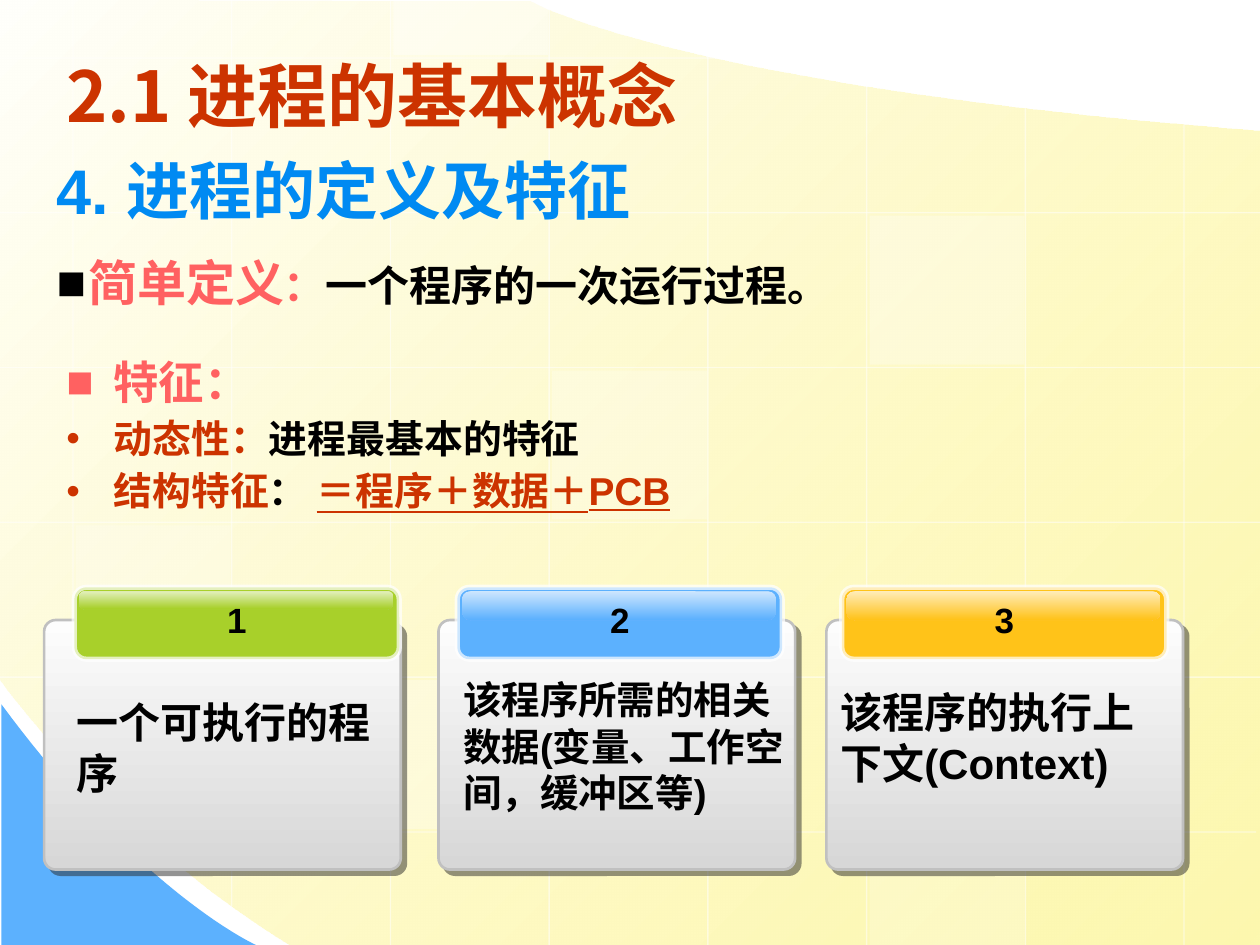
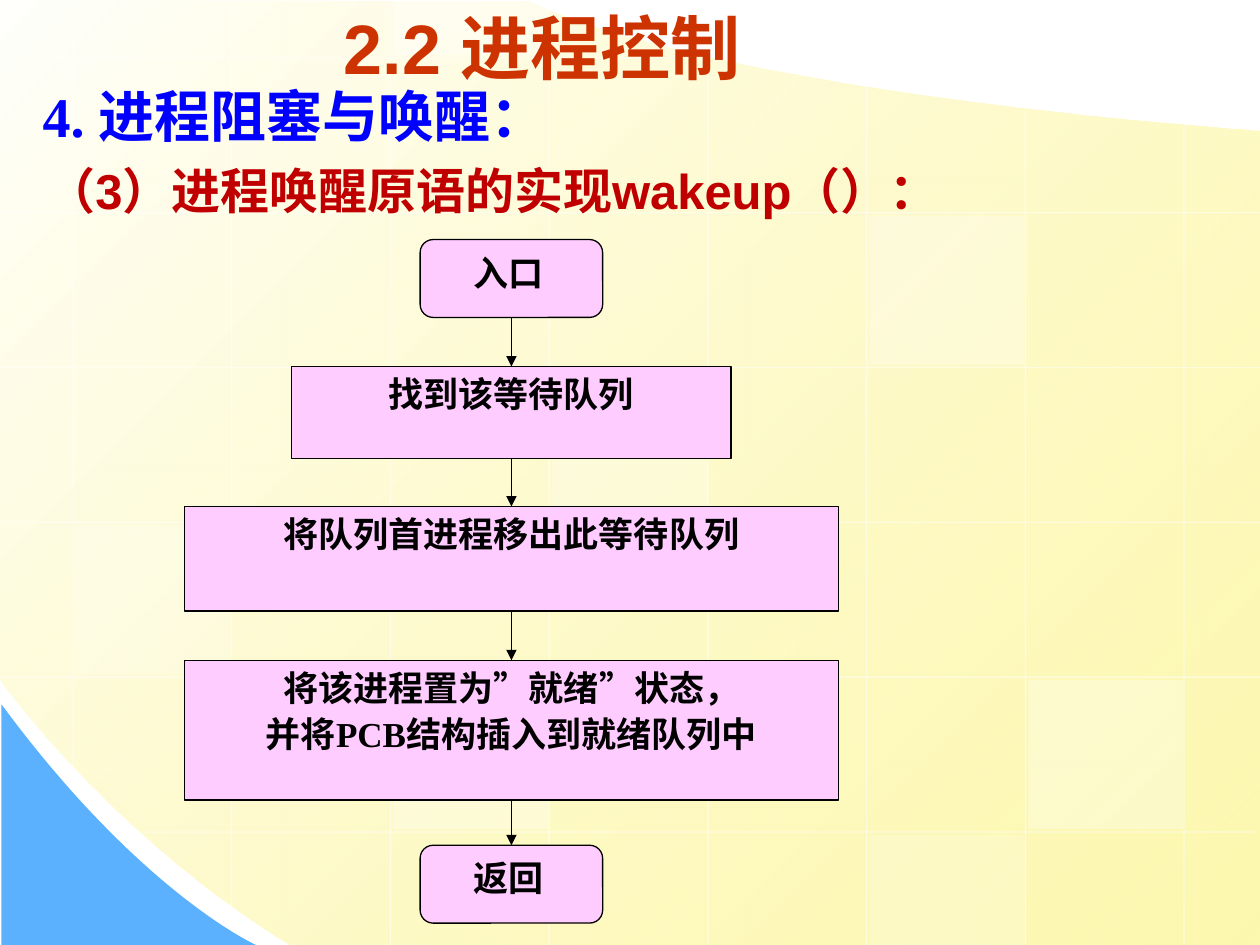
from lxml.etree import SubElement
from pptx import Presentation
from pptx.dml.color import RGBColor
from pptx.enum.shapes import MSO_CONNECTOR as Link, MSO_SHAPE as Preset
from pptx.enum.text import MSO_ANCHOR as Anchor, PP_ALIGN as Align
from pptx.oxml.ns import qn
from pptx.util import Cm, Pt

WHITE = RGBColor(0xFF, 0xFF, 0xFF)
BLACK = RGBColor(0, 0, 0)
IVORY = RGBColor(0xFF, 0xFF, 0xFB)
YELLOW = RGBColor(0xFD, 0xF5, 0x8D)
SKY = RGBColor(0x5C, 0xB1, 0xFE)
RUST = RGBColor(0xCC, 0x33, 0x00)
AZURE = RGBColor(0x00, 0x8A, 0xF2)
BLUE = RGBColor(0, 0, 0xFF)
CRIMSON = RGBColor(0xC0, 0, 0)
CORAL = RGBColor(0xFF, 0x61, 0x61)
GREEN = RGBColor(0xA8, 0xD0, 0x2A)
AMBER = RGBColor(0xFF, 0xC3, 0x19)
PINK = RGBColor(0xFF, 0xCC, 0xFF)
CARD_TOP = RGBColor(0xFD, 0xFD, 0xFD)
CARD_BOTTOM = RGBColor(0xD7, 0xD7, 0xD7)
CARD_EDGE = RGBColor(0xC0, 0xC0, 0xC0)
SHADE = RGBColor(0x29, 0x29, 0x29)

SANS, SERIF, HAN = "Arial", "Times New Roman", "Noto Sans CJK SC"
WIDTH, HEIGHT = 25.4, 19.05
GRID_X, GRID_Y, COLUMN, ROW = 1.47, 1.17, 3.2, 3.12
COLUMN_SPANS = [(0, 15.47), (0, 18.26), (0, HEIGHT), (0, HEIGHT),
                (1.09, HEIGHT), (1.73, HEIGHT), (2.16, HEIGHT), (2.49, HEIGHT)]
ROW_SPANS = [(0, 14.43)] + [(0, WIDTH)] * 4 + [(2.82, 25.32)]
TILES = [(3, 2, 25), (6, 4, 30), (0, 3, 20), (5, 5, 20),
         (2, -1, 40), (2, 4, 30), (5, 1, 30)]


def add_xml(parent, tag, **values):
    return SubElement(parent, qn(tag), {key: str(value) for key, value in values.items()})


def set_alpha(properties, percent, index=0):
    colour = list(properties.iter(qn("a:srgbClr")))[index]
    add_xml(colour, "a:alpha", val=percent * 1000)


def set_gradient(shape, start, end, angle):
    shape.fill.gradient()
    shape.fill.gradient_angle = 360 - angle
    for stop, colour, position in zip(shape.fill.gradient_stops, (start, end), (0, 1)):
        stop.color.rgb = colour
        stop.position = position


def add_box(page, box, preset=Preset.RECTANGLE, fill=None, edge=None, weight=0.75, corner=None):
    shape = page.shapes.add_shape(preset, *map(Cm, box))
    shape.shadow.inherit = False
    if fill is not None:
        shape.fill.solid()
        shape.fill.fore_color.rgb = fill
    if edge is None:
        shape.line.fill.background()
    else:
        shape.line.color.rgb = edge
        shape.line.width = Pt(weight)
    if corner:
        shape.adjustments[0] = corner
    return shape


def add_line(page, start, end, colour):
    line = page.shapes.add_connector(Link.STRAIGHT, *map(Cm, start + end))
    line.line.color.rgb = colour
    line.line.width = Pt(0.75)
    add_xml(line._element.spPr, "a:effectLst")
    return line


def span(text, size, colour=BLACK, name=SANS, **extra):
    return text, dict(size=Pt(size), name=name, bold=True, **extra), colour


def para(*spans, bullet=None, indent=0, **layout):
    return spans, bullet, indent, layout


def write(shape, paras, anchor=Anchor.TOP, wrap=True):
    frame = shape.text_frame
    frame.word_wrap = wrap
    frame.vertical_anchor = anchor
    for index, (spans, bullet, indent, layout) in enumerate(paras):
        line = frame.add_paragraph() if index else frame.paragraphs[0]
        for key, value in layout.items():
            setattr(line, key, value)
        properties = line._p.get_or_add_pPr()
        if indent:
            properties.set("marL", str(Cm(indent)))
            properties.set("indent", str(-Cm(indent)))
        if bullet:
            mark, colour = bullet
            add_xml(add_xml(properties, "a:buClr"), "a:srgbClr", val=colour)
            add_xml(properties, "a:buFont", typeface=SANS)
            add_xml(properties, "a:buChar", char=mark)
        for text, values, colour in spans:
            run = line.add_run()
            run.text = text
            for key, value in values.items():
                setattr(run.font, key, value)
            run.font.color.rgb = colour
            add_xml(run._r.get_or_add_rPr(), "a:ea", typeface=HAN)


def add_text(page, box, *paras, **options):
    write(page.shapes.add_textbox(*map(Cm, box)), paras, **options)


def add_title(page, box, text, name):
    add_text(page, box, para(span(text, 40, RUST, name)), anchor=Anchor.MIDDLE)


def curve(start, first, second, end, steps=40):
    points = []
    for step in range(1, steps + 1):
        t = step / steps
        weights = ((1 - t) ** 3, 3 * t * (1 - t) ** 2, 3 * t * t * (1 - t), t ** 3)
        points.append(tuple(sum(w * p[axis] for w, p in zip(weights, (start, first, second, end)))
                            for axis in (0, 1)))
    return points


def add_outline(page, points):
    places = [(Cm(x), Cm(y)) for x, y in points]
    builder = page.shapes.build_freeform(*places[0])
    builder.add_line_segments(places[1:], close=True)
    shape = builder.convert_to_shape()
    shape.shadow.inherit = False
    shape.line.fill.background()
    return shape


def add_backdrop(page):
    left, low, crest, right = (0, 13.69), (5.84, HEIGHT), (10.69, 0.03), (WIDTH, 2.64)
    field = add_outline(page, [right, (WIDTH, HEIGHT), low]
                        + curve(low, (2.18, 16.79), left, left) + [(0, 0), crest]
                        + curve(crest, crest, (13.64, 1.75), right))
    set_gradient(field, IVORY, YELLOW, 45)
    set_alpha(field._element.spPr, 70, 1)

    top, tip = (0.03, 14.2), (5.16, HEIGHT)
    corner = add_outline(page, [top, (0.03, HEIGHT), tip] + curve(tip, tip, (2.84, 18.01), top))
    corner.fill.solid()
    corner.fill.fore_color.rgb = SKY

    columns = [GRID_X + COLUMN * i for i in range(len(COLUMN_SPANS))]
    rows = [GRID_Y + ROW * i for i in range(len(ROW_SPANS))]
    ends = [((x, a), (x, b)) for x, (a, b) in zip(columns, COLUMN_SPANS)]
    ends += [((a, y), (b, y)) for y, (a, b) in zip(rows, ROW_SPANS)]
    for start, end in ends:
        set_alpha(add_line(page, start, end, WHITE)._element.spPr, 50)

    for column, row, alpha in TILES:
        y = GRID_Y + ROW * row + 0.06
        top, bottom = max(0, y), min(HEIGHT, y + 3)
        tile = add_box(page, (columns[column] + 0.06, top, 3.12, bottom - top), fill=WHITE)
        set_alpha(tile._element.spPr, alpha)


def add_card(page, box, tab_shift, colour, gloss_height, number, text, size, text_place):
    left, top, width, height = box
    card = add_box(page, box, Preset.ROUNDED_RECTANGLE, edge=CARD_EDGE, weight=1.5, corner=0.046)
    set_gradient(card, CARD_TOP, CARD_BOTTOM, 90)
    effects = card._element.spPr.find(qn("a:effectLst"))
    shadow = add_xml(effects, "a:outerShdw", dist=Pt(4.2), dir=2700000, algn="ctr", rotWithShape=0)
    add_xml(shadow, "a:srgbClr", val=SHADE)
    set_alpha(shadow, 50)

    x, y, tab_width = left + tab_shift, top - 0.66, 6.55
    tab = add_box(page, (x, y, tab_width, 1.45), Preset.ROUNDED_RECTANGLE, colour, WHITE, 3, 0.167)
    set_alpha(tab.line._ln, 69)
    gloss = add_box(page, (x + 0.1, y + 0.08, 6.32, gloss_height),
                    Preset.ROUNDED_RECTANGLE, corner=0.284)
    set_gradient(gloss, WHITE, colour, 90)
    for index in (0, 1):
        set_alpha(gloss._element.spPr, 70, index)
    add_text(page, (x + (tab_width - 0.89) / 2, y + 0.1, 0.89, 1.12),
             para(span(number, 20), alignment=Align.CENTER), wrap=False)
    dx, dy = text_place
    add_text(page, (left + dx, top + dy, 6.96, 2.5), para(span(text, size)))


def add_definition(page, box):
    add_text(page, box,
             para(span("4. 进程的定义及特征", 36, AZURE), indent=0.64, space_before=Pt(22.5)),
             para(span("简单定义", 28, CORAL), span("：", 24, CORAL),
                  span("一个程序的一次运行过程。", 24),
                  bullet=("■", BLACK), indent=0.64, space_before=Pt(15)))


def add_features(page, box):
    layout = dict(indent=0.95, line_spacing=0.9)
    dot = ("•", RUST)
    add_text(page, box,
             para(span("特征：", 25.9, CORAL, HAN), bullet=("■", CORAL),
                  space_before=Pt(7), **layout),
             para(span("动态性：", 22.2, RUST, HAN), span("进程最基本的特征", 22.2, name=HAN),
                  bullet=dot, space_before=Pt(6), **layout),
             para(span("结构特征", 22.2, RUST, HAN), span("： ", 22.2, name=HAN),
                  span("＝程序＋数据＋PCB", 22.2, RUST, underline=True),
                  bullet=dot, space_before=Pt(6), **layout))


def build_concept(page):
    add_backdrop(page)
    add_title(page, (1.09, 0.91, 22.86, 2.01), "2.1 进程的基本概念", HAN)
    add_definition(page, (0.89, 2.92, 23.01, 3.51))
    add_features(page, (1.09, 7.14, 23.01, 3.81))
    cards = [
        (0.89, 0.61, GREEN, 0.36, "一个可执行的程序", 24, (0.41, 1.42)),
        (8.84, 0.38, SKY, 0.58, "该程序所需的相关数据(变量、工作空间，缓冲区等)", 22, (0.25, 1.01)),
        (16.66, 0.31, AMBER, 0.58, "该程序的执行上下文(Context)", 24, (0.03, 1.22)),
    ]
    for number, (left, shift, colour, gloss, text, size, place) in enumerate(cards, 1):
        add_card(page, (left, 12.5, 7.19, 5.03), shift, colour, gloss,
                 str(number), text, size, place)


def add_terminal(page, box, text):
    left, top = box[:2]
    add_box(page, box, Preset.ROUNDED_RECTANGLE, PINK, BLACK, corner=0.167)
    label = add_box(page, (left + 0.1, top + 0.11, 3.35, 1.14), fill=PINK)
    write(label, [para(span(text, 20, name=SERIF), alignment=Align.CENTER, space_before=Pt(5))])


def add_step(page, box, lines, gap):
    shape = add_box(page, box, fill=PINK, edge=BLACK)
    write(shape, [para(*spans, alignment=Align.CENTER, space_before=Pt(gap)) for spans in lines])


def add_flow(page, centre):
    steps = [
        (4.83, 3.68, 1.57, "入口", None),
        (7.39, 8.86, 1.85, [[span("找到该等待队列", 20, name=SERIF)]], 7.5),
        (10.21, 13.18, 2.11, [[span("将队列首进程移出此等待队列", 20, name=SERIF)]], 12.5),
        (13.31, 13.18, 2.82, [
            [span("将该进程置", 20, name=SERIF), span("为”就绪”状态，", 20)],
            [span("并将", 20), span("PCB", 20, name=SERIF), span("结构插入到就绪队列中", 20)],
        ], 2.5),
        (17.04, 3.68, 1.57, "返回", None),
    ]
    for top, width, height, content, gap in steps:
        box = (centre - width / 2, top, width, height)
        if gap is None:
            add_terminal(page, box, content)
        else:
            add_step(page, box, content, gap)
    for upper, lower in zip(steps, steps[1:]):
        arrow = add_line(page, (centre, upper[0] + upper[2]), (centre, lower[0]), BLACK)
        add_xml(arrow.line._ln, "a:tailEnd", type="triangle")


def build_control(page):
    add_backdrop(page)
    add_text(page, (0.61, 1.52, 13.21, 1.6), para(span("4. 进程阻塞与唤醒：", 32, BLUE, SERIF)))
    add_text(page, (0.69, 3.12, 19.61, 1.8),
             para(span("（3）进程唤醒原语的实现wakeup（）：", 28, CRIMSON), space_before=Pt(7)))
    add_title(page, (6.68, -0.08, 12.83, 2.03), "2.2 进程控制", SANS)
    add_flow(page, 10.31)


def main():
    deck = Presentation()
    deck.slide_width, deck.slide_height = Cm(WIDTH), Cm(HEIGHT)
    for build in (build_concept, build_control):
        build(deck.slides.add_slide(deck.slide_layouts[6]))
    deck.save("out.pptx")


if __name__ == "__main__":
    main()
